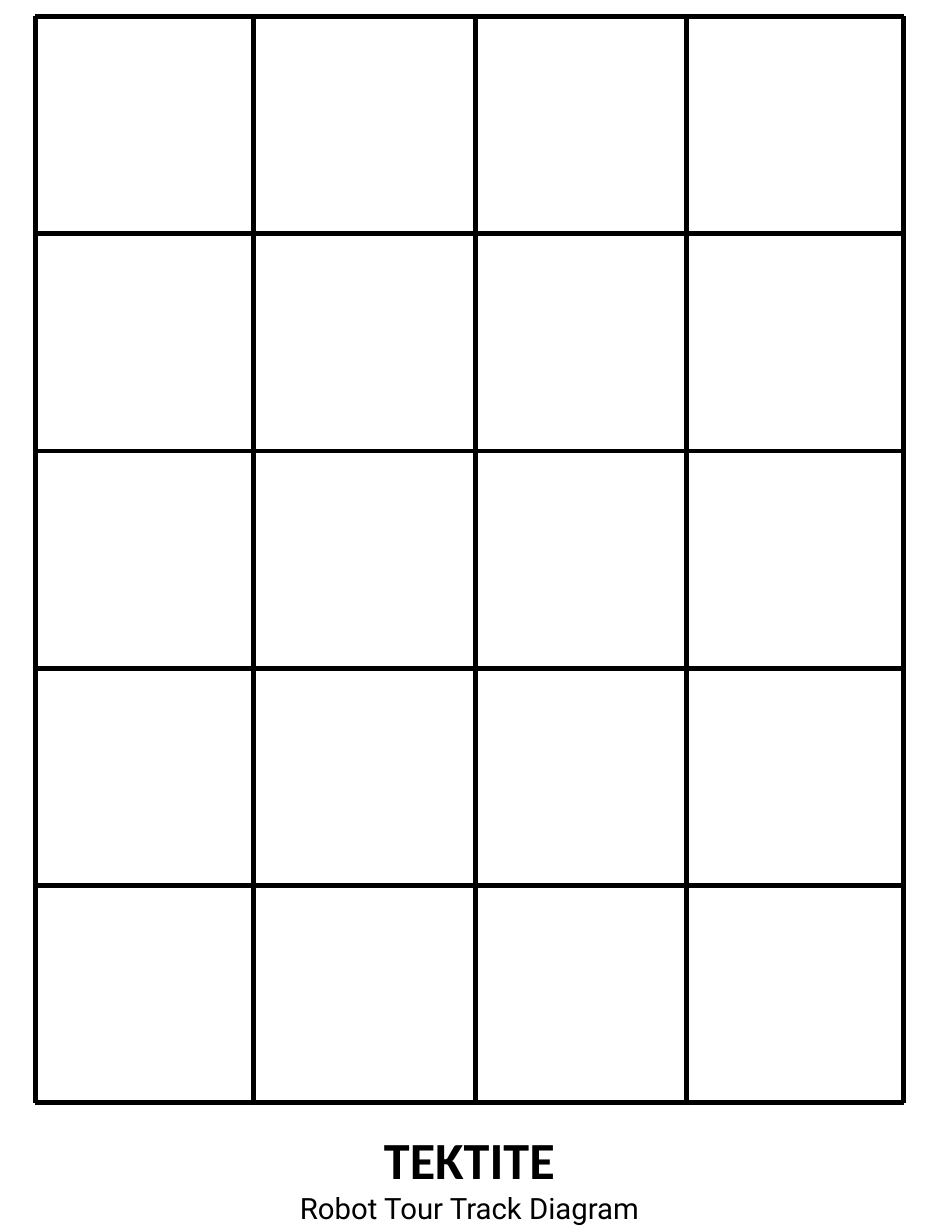
from lxml.etree import SubElement as Sub
from pptx import Presentation as Deck
from pptx.dml.color import RGBColor as Rgb
from pptx.enum.shapes import MSO_CONNECTOR as Conn
from pptx.enum.text import MSO_AUTO_SIZE as Fit, PP_ALIGN as Align
from pptx.oxml.ns import qn
from pptx.util import Inches, Pt

COLORS = {"ink": "000000", "page": "FFFFFF"}
LEFT, RIGHT, TOP, BASE = 0.3, 7.7, 0.14, 9.4
ROWS = 5
COLS = [LEFT, 2.16, 4.05, 5.85, RIGHT]


def add_line(group, x1, y1, x2, y2):
    line = group.shapes.add_connector(
        Conn.STRAIGHT, Inches(x1), Inches(y1), Inches(x2), Inches(y2))
    line.line.color.rgb = Rgb.from_string(COLORS["ink"])
    line.line.width = Pt(3)
    Sub(line._element.spPr, qn("a:effectLst"))


def add_track(slide):
    group = slide.shapes.add_group_shape()
    for x in COLS:
        add_line(group, x, BASE, x, TOP)
    step = (BASE - TOP) / ROWS
    for row in range(ROWS + 1):
        y = TOP + row * step
        add_line(group, LEFT, y, RIGHT, y)


def add_run(para, text, font, size, bold):
    para.alignment = Align.CENTER
    run = para.add_run()
    run.text = text
    run.font.name = font
    run.font.size = Pt(size)
    run.font.bold = bold
    run.font.color.rgb = Rgb.from_string(COLORS["ink"])


def add_title(slide):
    box = slide.shapes.add_textbox(
        Inches(2.07), Inches(9.56), Inches(3.86), Inches(0.94))
    frame = box.text_frame
    frame.word_wrap = True
    frame.auto_size = Fit.SHAPE_TO_FIT_TEXT
    add_run(frame.paragraphs[0], "TEKTITE", "Calibri", 32, True)
    add_run(frame.add_paragraph(), "Robot Tour Track Diagram", "Roboto", 18, False)


def main():
    deck = Deck()
    deck.slide_width, deck.slide_height = Inches(8), Inches(10.5)
    slide = deck.slides.add_slide(deck.slide_layouts[6])
    fill = slide.background.fill
    fill.solid()
    fill.fore_color.rgb = Rgb.from_string(COLORS["page"])
    add_track(slide)
    add_title(slide)
    deck.save("out.pptx")


if __name__ == "__main__":
    main()
